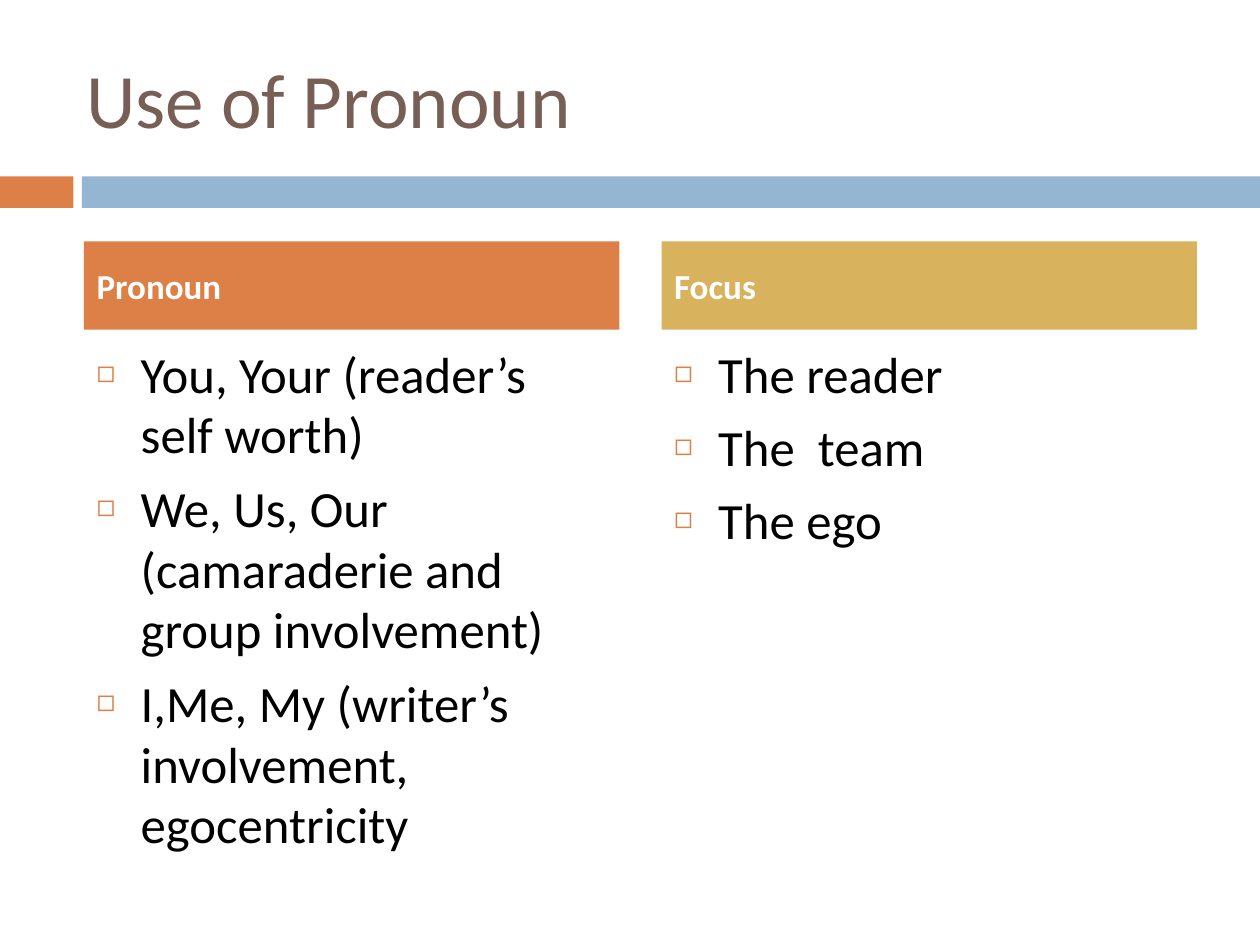
from lxml.etree import SubElement
from pptx import Presentation
from pptx.dml.color import RGBColor
from pptx.enum.shapes import MSO_SHAPE as SHAPE
from pptx.enum.text import MSO_ANCHOR as ANCHOR, MSO_AUTO_SIZE as FIT, PP_ALIGN as ALIGN
from pptx.oxml.ns import qn
from pptx.util import Pt

ORANGE, BLUE, GOLD = "DD8047", "94B6D2", "D8B25C"
COLUMNS = [
    (48, "Pronoun", ORANGE, ["You, Your (reader’s self worth)",
                             "We, Us, Our (camaraderie and group involvement)",
                             "I,Me, My (writer’s involvement, egocentricity"]),
    (378, "Focus", GOLD, ["The reader", "The  team", "The ego"]),
]


def paint(fill, color):
    """Give a fill a solid hex colour."""
    fill.solid()
    fill.fore_color.rgb = RGBColor.from_string(color)


def place(sp, x, y, w, h):
    """Move and size a shape, in points."""
    sp.left, sp.top, sp.width, sp.height = Pt(x), Pt(y), Pt(w), Pt(h)


def write(p, text, size=29, color="000000", bold=False, before=7):
    """Write formatted text into a paragraph."""
    p.alignment = ALIGN.LEFT
    p.space_before = Pt(before)
    r = p.add_run()
    r.text = text
    r.font.name, r.font.size, r.font.bold = "Calibri", Pt(size), bold
    paint(r.font.fill, color)


def add_bullet(p):
    """Give a paragraph a small hollow square bullet and a hanging indent."""
    pPr = p._p.get_or_add_pPr()
    pPr.set("marL", str(Pt(25.2)))
    pPr.set("indent", str(-Pt(25.2)))
    SubElement(SubElement(pPr, qn("a:buClr")), qn("a:srgbClr"), val=ORANGE)
    SubElement(pPr, qn("a:buSzPct"), val="60000")
    SubElement(pPr, qn("a:buChar"), char="◻")


def add_band(s, x, w, color):
    """Add one part of the band below the title."""
    sp = s.shapes.add_shape(SHAPE.RECTANGLE, Pt(x), Pt(100.8), Pt(w), Pt(18))
    sp.shadow.inherit = False
    paint(sp.fill, color)
    sp.line.fill.background()


def fill_title(sp, text):
    """Fill the title placeholder."""
    place(sp, 42, 21.6, 642, 68.4)
    sp.text_frame.vertical_anchor = ANCHOR.MIDDLE
    write(sp.text_frame.paragraphs[0], text, size=44, color="775F55", before=0)


def fill_heading(sp, x, text, color):
    """Fill a coloured column heading."""
    place(sp, x, 138, 306, 50.4)
    paint(sp.fill, color)
    sp.text_frame.vertical_anchor = ANCHOR.MIDDLE
    write(sp.text_frame.paragraphs[0], text, size=20, color="FFFFFF", bold=True)


def fill_list(sp, x, items):
    """Fill a bulleted column."""
    place(sp, x, 192, 306, 282)
    tf = sp.text_frame
    tf.auto_size = FIT.NONE
    for i, item in enumerate(items):
        p = tf.add_paragraph() if i else tf.paragraphs[0]
        write(p, item)
        add_bullet(p)


def main():
    """Build the slide and save it."""
    prs = Presentation()
    prs.slide_width, prs.slide_height = Pt(720), Pt(540)
    s = prs.slides.add_slide(prs.slide_layouts[4])
    add_band(s, 0, 42, ORANGE)
    add_band(s, 46.8, 673.2, BLUE)
    fill_title(s.shapes.title, "Use of Pronoun")
    for i, (x, heading, color, items) in enumerate(COLUMNS):
        fill_heading(s.placeholders[2 * i + 1], x, heading, color)
        fill_list(s.placeholders[2 * i + 2], x, items)
    prs.save("out.pptx")


if __name__ == "__main__":
    main()
